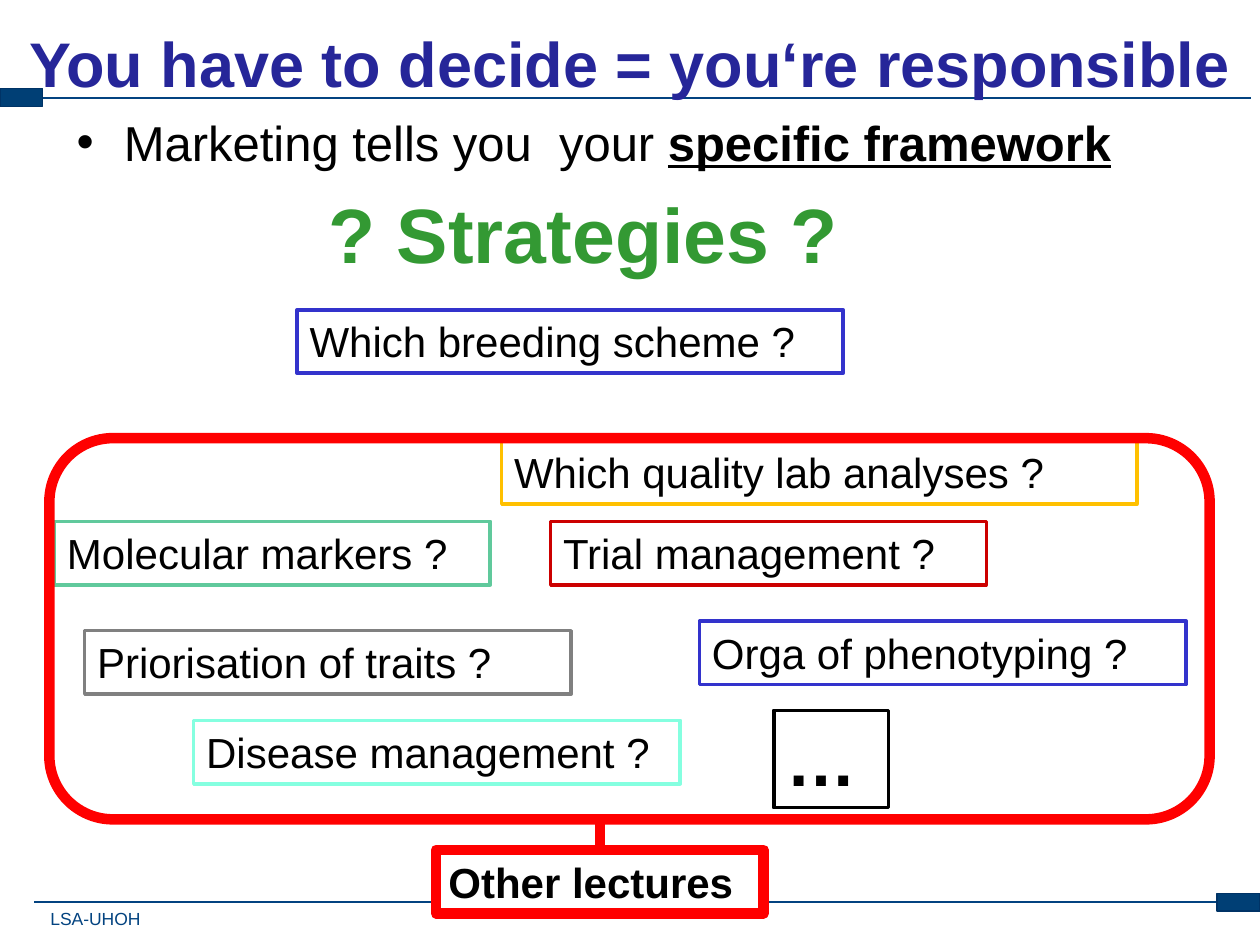
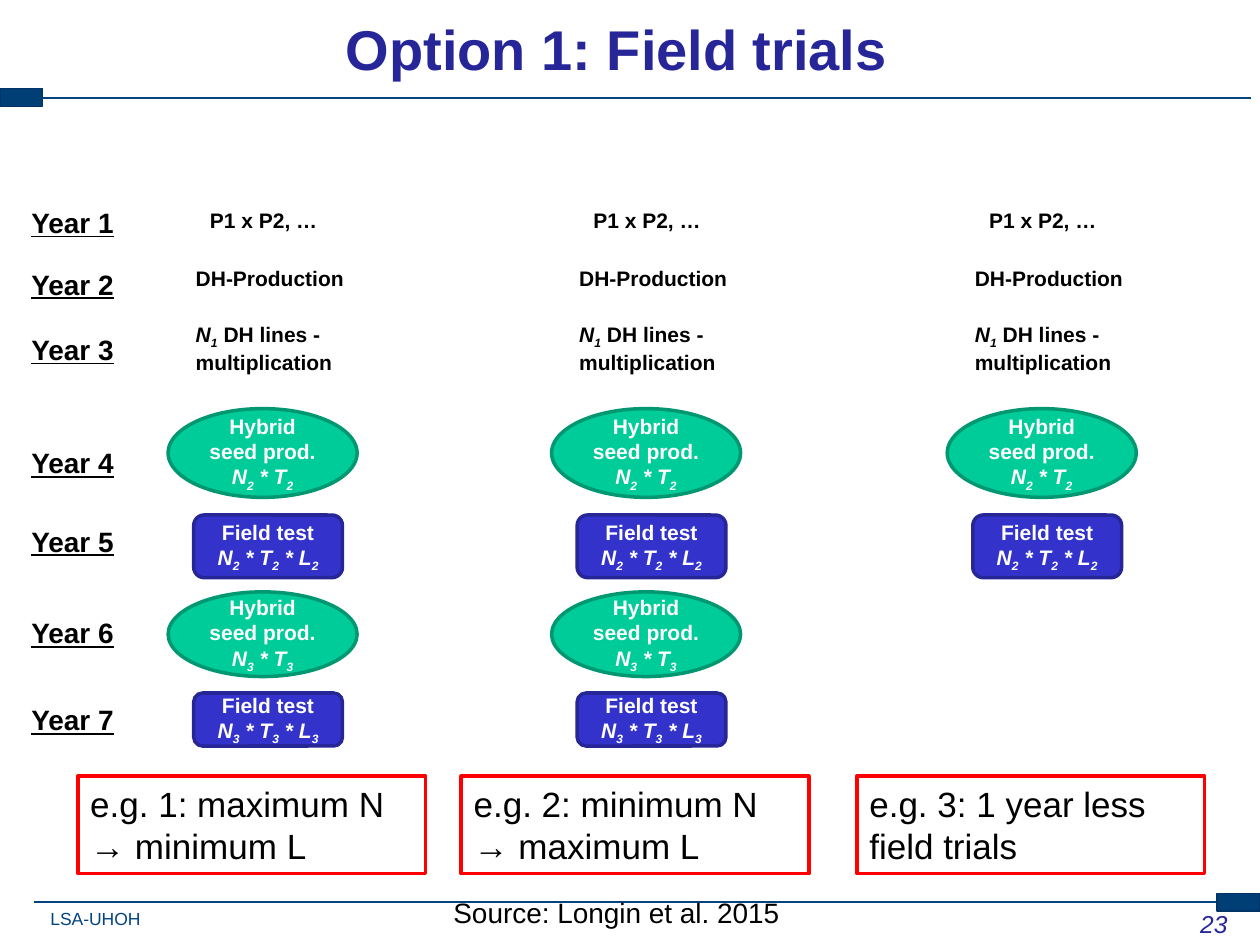
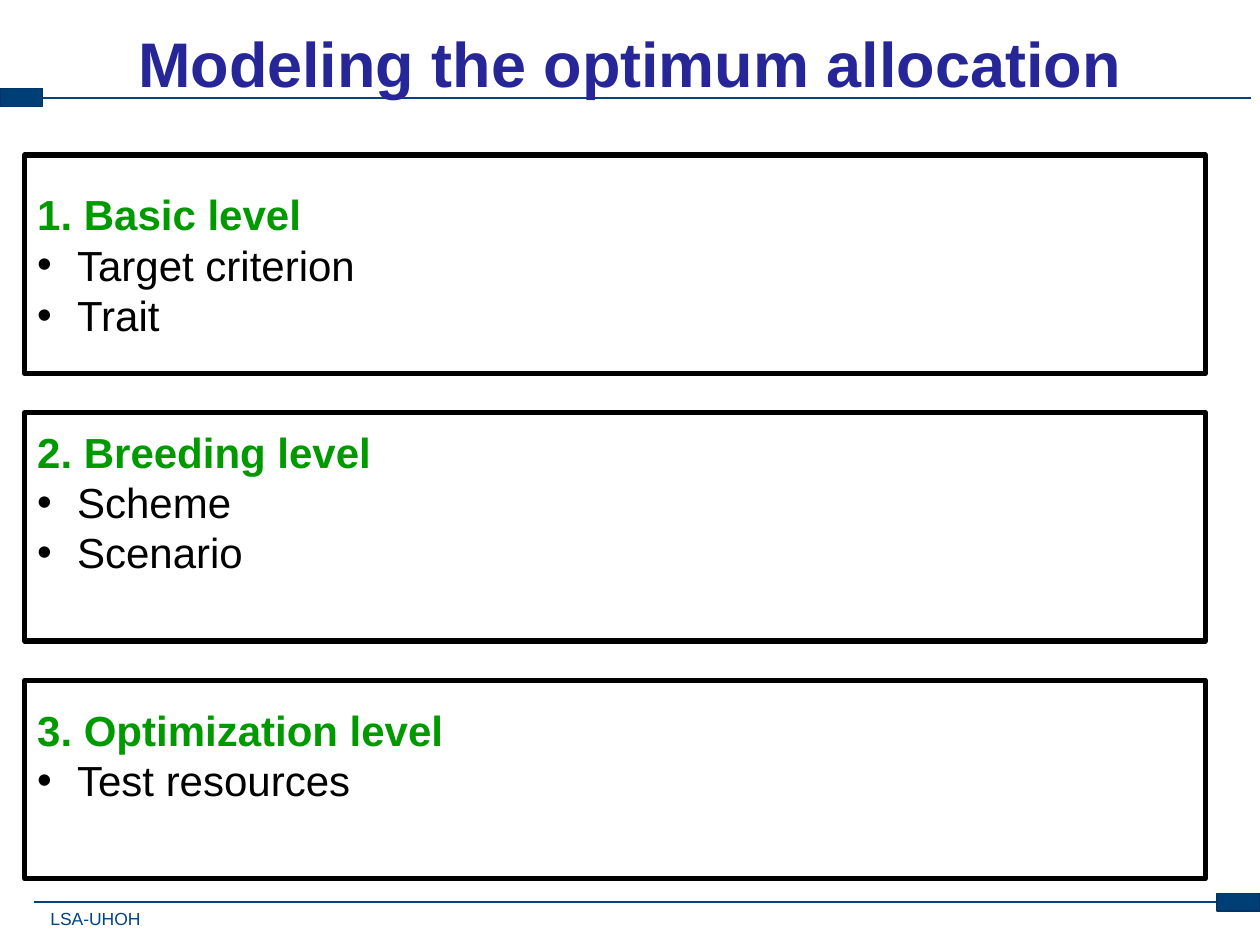
from dataclasses import dataclass
from itertools import groupby

from lxml.etree import SubElement
from pptx import Presentation
from pptx.dml.color import RGBColor
from pptx.enum.shapes import MSO_CONNECTOR, MSO_SHAPE
from pptx.enum.text import MSO_ANCHOR, PP_ALIGN
from pptx.oxml.ns import qn
from pptx.util import Pt


@dataclass(frozen=True)
class Theme:
    """Colours and type sizes of the deck."""
    font: str = "Arial"
    title: str = "262699"
    rule: str = "034380"
    block: str = "003F75"
    block_edge: str = "003366"
    black: str = "000000"
    white: str = "FFFFFF"
    red: str = "FF0000"
    blue: str = "3333CC"
    blue_edge: str = "262697"
    teal: str = "00CC99"
    teal_edge: str = "009771"
    strategy: str = "339933"
    level: str = "009900"
    title_size: int = 36
    body_size: int = 28
    box_size: int = 24
    example_size: int = 20
    label_size: int = 16
    number_size: int = 14
    step_size: int = 12
    footer_size: int = 10
    huge_size: int = 44
    dots_size: int = 40


T = Theme()


def apply(obj, **values):
    """Set every given attribute on an object."""
    for name, value in values.items():
        setattr(obj, name, value)


def add_run(p, text, size, color=T.black, sub=False, **style):
    """Add one formatted run to a paragraph."""
    r = p.add_run()
    r.text = text
    apply(r.font, name=T.font, size=Pt(size), **style)
    r.font.color.rgb = RGBColor.from_string(color)
    if sub:
        r._r.get_or_add_rPr().set("baseline", "-25000")


def add_formula(p, text, size, color=T.black):
    """Add a bold italic formula whose digits are subscripts."""
    for digits, chars in groupby(text, str.isdigit):
        add_run(p, "".join(chars), size, color, sub=digits, bold=True, italic=True)


def indent(p, left, hanging=0, bullet=False):
    """Set a paragraph's left margin, hanging indent and bullet."""
    pPr = p._p.get_or_add_pPr()
    pPr.set("marL", str(Pt(left)))
    pPr.set("indent", str(-Pt(hanging)))
    if bullet:
        SubElement(pPr, qn("a:buFont")).set("typeface", T.font)
        SubElement(pPr, qn("a:buChar")).set("char", "•")


def add_text(s, box, text=None, size=T.box_size, color=T.black, align=None, frame=None, **style):
    """Add a wrapping text box and return its text frame."""
    tf = s.shapes.add_textbox(*map(Pt, box)).text_frame
    apply(tf, word_wrap=True, **(frame or {}))
    if text:
        p = tf.paragraphs[0]
        p.alignment = align
        add_run(p, text, size, color, **style)
    return tf


def add_box(s, box, line, width=2, fill=T.white, kind=MSO_SHAPE.RECTANGLE, anchor=MSO_ANCHOR.TOP):
    """Add an outlined shape and return its text frame."""
    sp = s.shapes.add_shape(kind, *map(Pt, box))
    sp.shadow.inherit = False
    if fill:
        sp.fill.solid()
        sp.fill.fore_color.rgb = RGBColor.from_string(fill)
    else:
        sp.fill.background()
    sp.line.color.rgb = RGBColor.from_string(line)
    sp.line.width = Pt(width)
    tf = sp.text_frame
    apply(tf, word_wrap=True, vertical_anchor=anchor)
    tf.paragraphs[0].alignment = PP_ALIGN.LEFT
    return tf


def add_line(s, x1, y1, x2, y2, color, width):
    """Add a straight line without shadow."""
    cx = s.shapes.add_connector(MSO_CONNECTOR.STRAIGHT, *map(Pt, (x1, y1, x2, y2)))
    cx.line.color.rgb = RGBColor.from_string(color)
    cx.line.width = Pt(width)
    SubElement(cx._element.spPr, qn("a:effectLst"))


def new_slide(prs, title, box=(0, 0, 720, 71.3), size=T.title_size):
    """Add a slide with its rules, corner blocks, footer and title."""
    s = prs.slides.add_slide(prs.slide_layouts[6])
    add_line(s, 19.7, 515.5, 712.8, 515.5, T.rule, 1)
    no_inset = dict.fromkeys(("margin_left", "margin_top", "margin_right", "margin_bottom"), 0)
    add_text(s, (28.8, 519.1, 60, 12.2), "LSA-UHOH", T.footer_size, T.rule, frame=no_inset)
    add_line(s, 22.3, 56.2, 715, 56.2, T.rule, 1)
    for x, y in ((695.5, 510.4), (0, 50.5)):
        add_box(s, (x, y, 24.5, 10.2), T.block_edge, 0.75, T.block)
    add_text(s, box, title, size, T.title, PP_ALIGN.CENTER,
             {"vertical_anchor": MSO_ANCHOR.MIDDLE}, bold=True)
    return s


def framework_text(s, box):
    """Place the marketing bullet and the strategies question."""
    tf = add_text(s, box)
    p = tf.paragraphs[0]
    indent(p, 27, 27, bullet=True)
    add_run(p, "Marketing tells you  your ", T.body_size)
    add_run(p, "specific framework", T.body_size, bold=True, underline=True)
    p = tf.add_paragraph()
    indent(p, 144)
    p.space_before = Pt(8.8)
    add_run(p, "? Strategies ?", T.huge_size, T.strategy, bold=True)


def question(s, box, text, line, width=2, size=T.box_size, **style):
    """Place one outlined question."""
    tf = add_box(s, box, line, width)
    add_run(tf.paragraphs[0], text, size, **style)


def other_lectures(s, box):
    """Place the questions left to other lectures inside a red frame."""
    x, y, w, h = box
    questions = (
        (258.5, 1.4, 363, "Which quality lab analyses ?", "FFC000"),
        (3, 47.5, 249, "Molecular markers ?", "60C99C"),
        (286.5, 47.5, 249, "Trial management ?", "CC0000"),
        (371.5, 104.4, 278, "Orga of phenotyping ?", T.blue),
        (20.2, 110, 278, "Priorisation of traits ?", "808080"),
        (82.5, 161.2, 278, "Disease management ?", "85FFE0"),
    )
    for dx, dy, width, text, line in questions:
        question(s, (x + dx, y + dy, width, 36.3), text, line)
    question(s, (x + 414, y + 155.5, 65.5, 55.7), "…", T.black, size=T.dots_size, bold=True)
    question(s, (x + 221, y + 235.2, 187.2, 36.3), "Other lectures", T.red, 6, bold=True)
    add_box(s, box, T.red, 6, None, MSO_SHAPE.ROUNDED_RECTANGLE)
    add_line(s, x + 314.6, y + h, x + 314.6, y + 235.2, T.red, 6)


def decision_slide(prs):
    """Build the slide on decisions and responsibility."""
    s = new_slide(prs, "You have to decide = you‘re responsible")
    framework_text(s, (36.7, 60.5, 663, 147.6))
    question(s, (169.8, 177, 312, 36.3), "Which breeding scheme ?", T.blue)
    other_lectures(s, (28.2, 250.4, 663, 217.8))


def year_labels(s, box):
    """Place the year labels down the left edge."""
    x, y, w, h = box
    for year, dy in enumerate((0, 35.3, 72.5, 137.3, 182.2, 234.7, 284.2), 1):
        add_text(s, (x, y + dy, w, h), f"Year {year}", T.label_size, bold=True, underline=True)


def step(s, box, text, formula, kind, fill, line):
    """Place one filled step with a caption and a formula."""
    tf = add_box(s, box, line, 2, fill, kind, MSO_ANCHOR.MIDDLE)
    p = tf.paragraphs[0]
    add_run(p, text, T.step_size, T.white, bold=True)
    q = tf.add_paragraph()
    add_formula(q, formula, T.step_size, T.white)
    p.alignment = q.alignment = PP_ALIGN.CENTER


def scheme(s, box, example, cycles):
    """Place one breeding scheme as a column of steps above its example."""
    x, y, w, h = box
    add_text(s, (x + 68.4, y, 85, 21.8), "P1 x P2, …", T.step_size, bold=True)
    add_text(s, (x + 60.3, y + 32.9, 108, 21.8), "DH-Production", T.step_size, bold=True)
    p = add_text(s, (x + 60.3, y + 64.8, 96.5, 36.3)).paragraphs[0]
    add_formula(p, "N1", T.step_size)
    add_run(p, " DH lines - multiplication", T.step_size, bold=True)
    rows = ((2, 118.3, 50.7, 179.1, 35.8), (3, 223, 48.4, 280.8, 30.3))
    for n, seed_y, seed_h, test_y, test_h in rows[:cycles]:
        step(s, (x + 51.6, y + seed_y, 108, seed_h), "Hybrid seed prod.", f"N{n} * T{n}",
             MSO_SHAPE.OVAL, T.teal, T.teal_edge)
        step(s, (x + 66.2, y + test_y, 85, test_h), "Field test", f"N{n} * T{n} * L{n}",
             MSO_SHAPE.ROUNDED_RECTANGLE, T.blue, T.blue_edge)
    question(s, (x, y + h - 55.7, w, 55.7), example, T.red, size=T.example_size)


def trials_slide(prs):
    """Build the slide comparing three field trial schemes."""
    s = new_slide(prs, "Option 1: Field trials", (-14.4, -7.9, 733.7, 71.3), 32)
    add_text(s, (558.7, 516.2, 149.8, 36), "23", T.number_size, T.title, PP_ALIGN.RIGHT, italic=True)
    add_text(s, (252, 508.4, 207.4, 26.6), "Source: Longin et al. 2015", T.label_size)
    year_labels(s, (10.8, 113.8, 74, 26.6))
    schemes = (
        (44.5, "e.g. 1: maximum N → minimum L", 2),
        (263.6, "e.g. 2: minimum N → maximum L", 2),
        (489.7, "e.g. 3: 1 year less field trials", 1),
    )
    for x, example, cycles in schemes:
        scheme(s, (x, 115.2, 198.7, 384), example, cycles)


def level(s, box, heading, items, bottom):
    """Place one framed level with its heading and bullets."""
    tf = add_box(s, box, T.black, 3, anchor=MSO_ANCHOR.MIDDLE)
    tf.margin_bottom = Pt(bottom)
    add_run(tf.paragraphs[0], heading, T.box_size, T.level, bold=True)
    for item in items:
        p = tf.add_paragraph()
        p.alignment = PP_ALIGN.LEFT
        indent(p, 22.8, 22.8, bullet=True)
        add_run(p, item, T.box_size)


def modeling_slide(prs):
    """Build the slide with the three modeling levels."""
    s = new_slide(prs, "Modeling the optimum allocation")
    levels = (
        (88.6, 124.7, "1. Basic level", ("Target criterion", "Trait"), 3.6),
        (235.8, 130.5, "2. Breeding level", ("Scheme", "Scenario"), 32.2),
        (388.8, 113.3, "3. Optimization level", ("Test resources",), 32.2),
    )
    for y, h, heading, items, bottom in levels:
        level(s, (14.2, y, 674.6, h), heading, items, bottom)


def main():
    """Build and save the deck."""
    prs = Presentation()
    apply(prs, slide_width=Pt(720), slide_height=Pt(540))
    for build in (decision_slide, trials_slide, modeling_slide):
        build(prs)
    prs.save("out.pptx")


if __name__ == "__main__":
    main()
